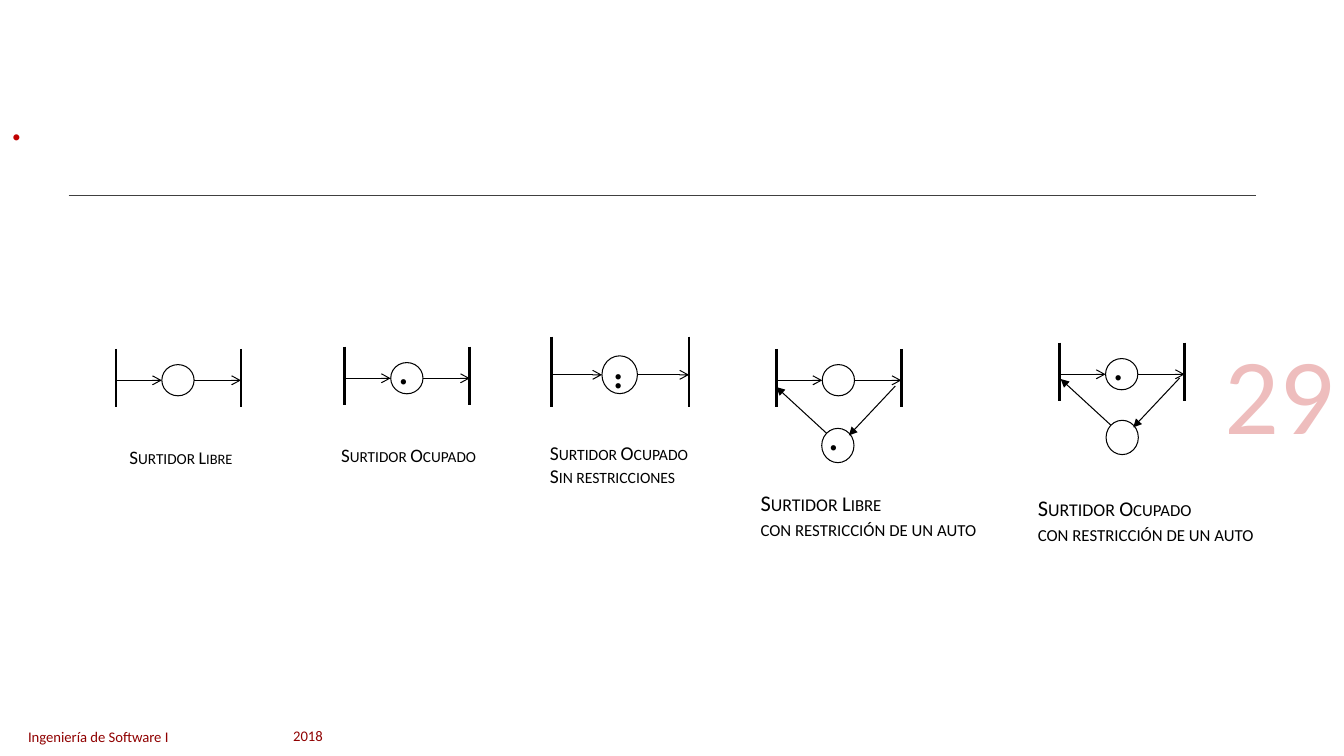
"""Builds the slide of five Petri nets that model a fuel pump."""
from lxml import etree
from pptx import Presentation
from pptx import util as u
from pptx.dml.color import RGBColor
from pptx.enum import shapes, text
from pptx.oxml.ns import qn

theme = dict(font="Calibri", ink="000000", rule="404040", accent="C00000", footer="900000",
             title=36, footer_size=10.5, number=77.2, token=32, thin=0.75, bar=2)

deck = Presentation()
deck.slide_width, deck.slide_height = u.Inches(13.33), u.Inches(7.5)
slide = deck.slides.add_slide(deck.slide_layouts[5])
cell = deck.slide_height / 75


def place(*cells):
    """Turn grid cells into slide lengths."""
    return [u.Emu(round(count * cell)) for count in cells]


def write(shape, paragraphs, color, anchor="TOP", align="LEFT", spacing=None, small=False, bold=False):
    """Fill a shape with paragraphs given as lists of (words, size)."""
    frame = shape.text_frame
    frame.word_wrap = True
    frame.auto_size = text.MSO_AUTO_SIZE.NONE
    frame.vertical_anchor = getattr(text.MSO_ANCHOR, anchor)
    for index, runs in enumerate(paragraphs):
        paragraph = frame.paragraphs[0] if index == 0 else frame.add_paragraph()
        paragraph.alignment = getattr(text.PP_ALIGN, align)
        paragraph.line_spacing = spacing
        font = paragraph.font
        font.name, font.bold, font.size = theme["font"], bold, u.Pt(runs[0][1])
        font.color.rgb = RGBColor.from_string(color)
        if small:
            font._element.set("cap", "small")
        for words, size in runs:
            run = paragraph.add_run()
            run.text = words
            if size != runs[0][1]:
                run.font.size = u.Pt(size)
    return frame


title = slide.shapes.title
title.left, title.top, title.width, title.height = place(0, 5.5, 118.2, 13.9)
heading = write(title, [[(".", theme["title"])]], theme["accent"], "MIDDLE", spacing=0.85)
heading.paragraphs[0].font._element.set("spc", "-90")

for box, words in [((28.1, 71.6, 9, 2.8), "2018"),
                   ((1.8, 71.7, 23.6, 2.3), "Ingeniería de Software I")]:
    write(slide.shapes.add_textbox(*place(*box)), [[(words, theme["footer_size"])]], theme["footer"])

page = write(slide.shapes.add_textbox(*place(101.3, 30.4, 32, 15.3)),
             [[("29", theme["number"])]], theme["accent"], "BOTTOM", "RIGHT")
tint = page.paragraphs[0].font._element.find(".//" + qn("a:srgbClr"))
etree.SubElement(tint, qn("a:alpha"), val="25000")

restriction = [("con restricción de un auto", 15)]
nets = [
    dict(at=(11.5, 34.6), label=(11.85, 45.55), spacing=0.8,
         lines=[[("Surtidor ", 13.6), ("Libre", 12.8)]]),
    dict(at=(34.2, 34.4), token=(40, 37.9), label=(32.85, 45.35), spacing=0.8,
         lines=[[("Surtidor Ocupado", 13.6)]]),
    dict(at=(54.7, 33.4), scale=(1.1, 1.21), token=(61.3, 37.4), dots="..", label=(53.55, 46.05),
         lines=[[("Surtidor Ocupado", 14)], [("Sin restricciones", 14)]]),
    dict(at=(77, 34.6), back=(77, 38.3), token=(82.65, 44.4), label=(74.45, 51.1),
         lines=[[("Surtidor ", 16), ("Libre", 15)], restriction]),
    dict(at=(105.1, 34), back=(105.2, 37.5), token=(110.9, 37.5), label=(101.95, 51.6),
         lines=[[("Surtidor ", 16), ("Ocupado", 15)], restriction]),
]

strokes = [(slide.shapes, (6.8, 19.4), (124.6, 19.4), "thin", None)]
for net in nets:
    group = slide.shapes.add_group_shape().shapes
    (x, y), (wide, tall) = net["at"], net.get("scale", (1, 1))
    right, bottom, middle = x + 12.4 * wide, y + 5.8 * tall, y + 3.13 * tall
    pump = x + 4.55 * wide
    circles = [(pump, y + 1.57 * tall, 3.2 * wide, 3.1 * tall)]
    strokes += [(group, (x, y), (x, bottom), "bar", None),
                (group, (right, y), (right, bottom), "bar", None),
                (group, (x, middle), (pump, middle), "thin", "arrow"),
                (group, (pump + 3.2 * wide, middle), (right, middle), "thin", "arrow")]
    if "back" in net:
        left, top = net["back"]
        circles.append((left + 4.5, top + 4.2, 3.2, 3.4))
        strokes += [(group, (left + 11.8, top), (left + 7.2, top + 4.9), "thin", "triangle"),
                    (group, (left + 5, top + 4.7), (left, top + 0.1), "thin", "triangle")]
    for circle in circles:
        state = group.add_shape(shapes.MSO_SHAPE.OVAL, *place(*circle))
        state.shadow.inherit = False
        state.fill.background()
        state.line.color.rgb = RGBColor.from_string(theme["ink"])
        state.line.width = u.Pt(theme["thin"])
    if "token" in net:
        dot_x, dot_y = net["token"]
        token = write(group.add_textbox(*place(dot_x - 3.45, dot_y - 1.45, 10, 3.5)),
                      [[(net.get("dots", "."), theme["token"])]],
                      theme["ink"], "MIDDLE", small=True, bold=True)
        token.margin_left = token.margin_right = token.margin_top = token.margin_bottom = u.Inches(0.1)
        token.word_wrap = False
        token._txBody.bodyPr.set("vert", "vert")
    label_x, label_y = net["label"]
    write(slide.shapes.add_textbox(*place(label_x, label_y - 3.5, 25, 7)), net["lines"],
          theme["ink"], "MIDDLE", spacing=net.get("spacing"), small=True)

for owner, start, end, weight, head in strokes:
    stroke = owner.add_connector(shapes.MSO_CONNECTOR.STRAIGHT, *place(*start, *end))
    stroke.line.width = u.Pt(theme[weight])
    stroke.line.color.rgb = RGBColor.from_string(theme["ink" if owner is not slide.shapes else "rule"])
    if head:
        etree.SubElement(stroke.line._get_or_add_ln(), qn("a:tailEnd"), type=head)
    etree.SubElement(stroke._element.spPr, qn("a:effectLst"))

deck.save("out.pptx")
